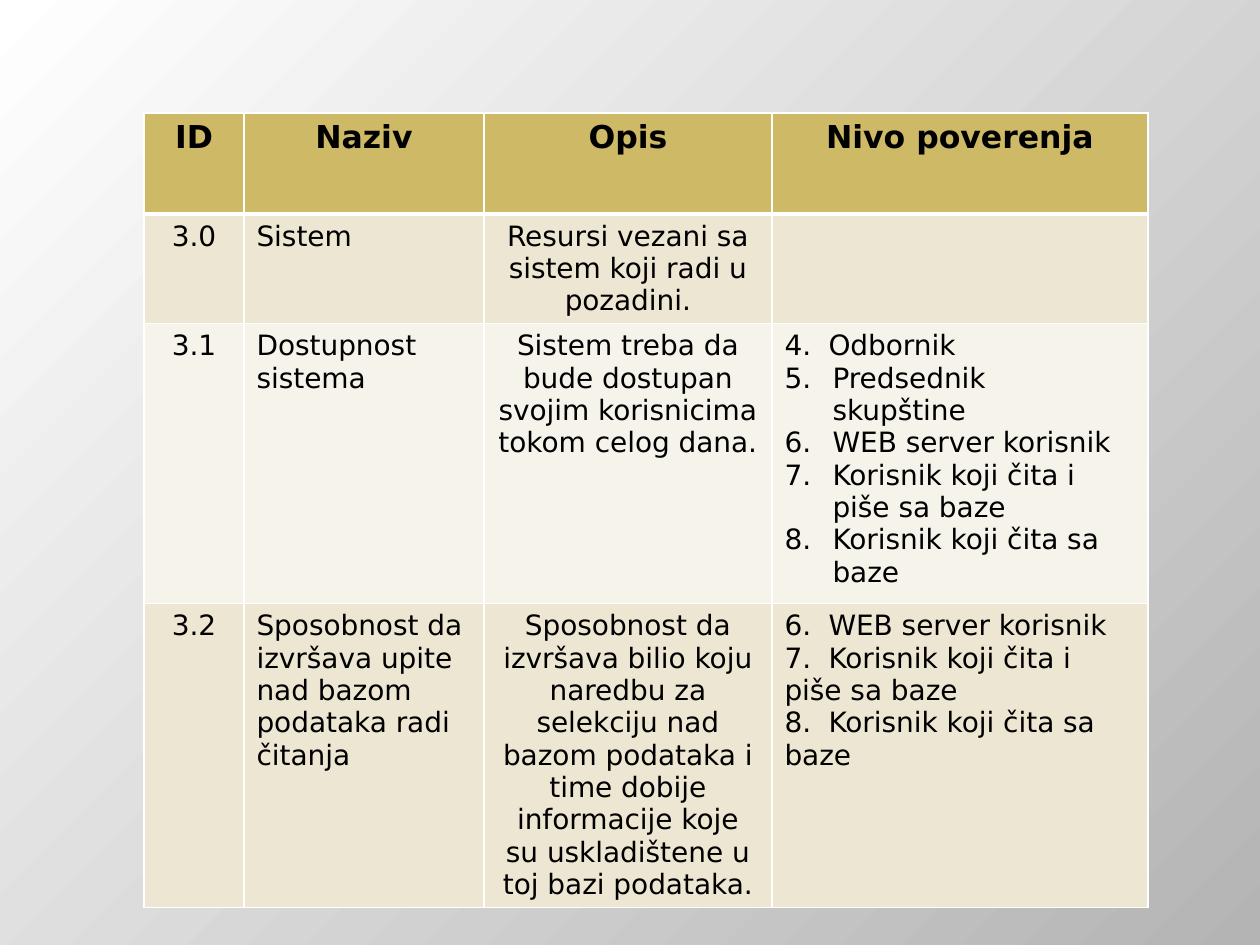
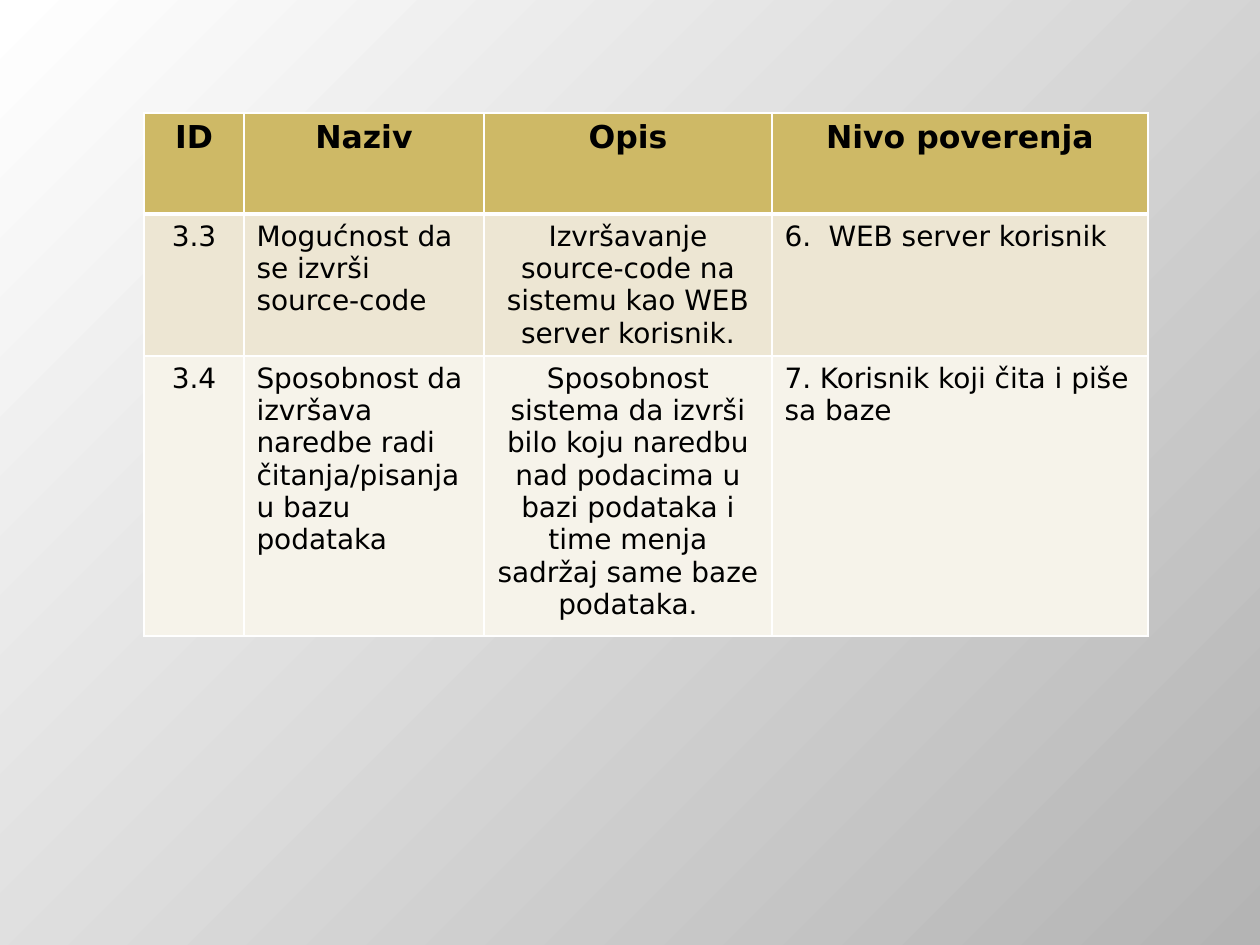
from dataclasses import dataclass

from lxml import etree
from pptx import Presentation
from pptx.dml.color import RGBColor
from pptx.enum.text import PP_ALIGN
from pptx.oxml.ns import qn
from pptx.util import Pt

CENTER, LEFT = PP_ALIGN.CENTER, PP_ALIGN.LEFT
PX = 914400 / 126  # EMU in one px


def emu(px):
    return round(px * PX)


@dataclass(frozen=True)
class Theme:
    font: str = "DejaVu Sans"
    head_size: int = 18
    body_size: int = 16
    ink: str = "000000"
    head_fill: str = "CEB966"
    bands: tuple = ("EDE6D3", "F6F3EA")
    rule: str = "FFFFFF"
    thin: int = 1
    thick: int = 3
    backdrop: tuple = ("FFFFFF", "B4B4B4")


@dataclass(frozen=True)
class Numbered:
    """A paragraph in an automatically numbered list."""
    text: str
    start: int = 5


# Shared table layout, in px
TABLE_LEFT, TABLE_TOP = 144, 113
COLUMNS = (100, 240, 288, 376)
ALIGNS = (CENTER, LEFT, CENTER, LEFT)
HEAD_HEIGHT, SHORT_ROW, TALL_ROW = 101, 78, 280
NUMBER_INDENT, TAB_STOP = 48, 44
HEADINGS = ("ID", "Naziv", "Opis", "Nivo poverenja")


class Deck:
    def __init__(self, theme):
        self.theme = theme
        self.file = Presentation()
        self.file.slide_width, self.file.slide_height = emu(1260), emu(945)
        self.page = None
        self.backdrop()

    def backdrop(self):
        """Diagonal gradient on the master, shared by every page."""
        fill = self.file.slide_master.background.fill
        fill.gradient()
        fill.gradient_angle = 315
        for stop, color, position in zip(fill.gradient_stops, self.theme.backdrop, (0, 1)):
            stop.color.rgb = RGBColor.from_string(color)
            stop.position = position

    def new_page(self):
        self.page = self.file.slides.add_slide(self.file.slide_layouts[6])

    def table(self, rows):
        heights = [HEAD_HEIGHT, SHORT_ROW] + [TALL_ROW] * (len(rows) - 1)
        frame = self.page.shapes.add_table(
            len(heights), len(COLUMNS), emu(TABLE_LEFT), emu(TABLE_TOP),
            emu(sum(COLUMNS)), emu(sum(heights)))
        table = frame.table
        for column, width in zip(table.columns, COLUMNS):
            column.width = emu(width)
        for row, height in zip(table.rows, heights):
            row.height = emu(height)

        for r, values in enumerate([HEADINGS, *rows]):
            is_head = r == 0
            color = self.theme.head_fill if is_head else self.theme.bands[(r - 1) % 2]
            for c, value in enumerate(values):
                cell = table.cell(r, c)
                self.borders(cell, r)
                cell.fill.solid()
                cell.fill.fore_color.rgb = RGBColor.from_string(color)
                self.cell_text(cell, value, CENTER if is_head else ALIGNS[c], is_head)

    def borders(self, cell, row):
        """White rules, with a thick one between heading and body."""
        theme = self.theme
        top = theme.thick if row == 1 else theme.thin
        bottom = theme.thick if row == 0 else theme.thin
        properties = cell._tc.get_or_add_tcPr()
        for side, width in zip("LRTB", (theme.thin, theme.thin, top, bottom)):
            line = etree.SubElement(properties, qn(f"a:ln{side}"), w=str(Pt(width)))
            fill = etree.SubElement(line, qn("a:solidFill"))
            etree.SubElement(fill, qn("a:srgbClr"), val=theme.rule)

    def cell_text(self, cell, value, align, is_head):
        """Fill a cell with one text or with a list of paragraphs."""
        items = [value] if isinstance(value, str) else value
        text_frame = cell.text_frame
        for i, item in enumerate(items):
            para = text_frame.paragraphs[0] if i == 0 else text_frame.add_paragraph()
            para.text = item.text if isinstance(item, Numbered) else item
            para.alignment = align
            if isinstance(item, Numbered):
                self.number(para, item.start)
            elif "\t" in item:
                self.tab_stop(para)
            for span in para.runs:
                span.font.name = self.theme.font
                span.font.size = Pt(self.theme.head_size if is_head else self.theme.body_size)
                span.font.bold = is_head
                span.font.color.rgb = RGBColor.from_string(self.theme.ink)

    def number(self, para, start):
        properties = para._p.get_or_add_pPr()
        properties.set("marL", str(emu(NUMBER_INDENT)))
        properties.set("indent", str(-emu(NUMBER_INDENT)))
        etree.SubElement(properties, qn("a:buFont"), typeface=self.theme.font)
        etree.SubElement(properties, qn("a:buAutoNum"), type="arabicPeriod", startAt=str(start))

    def tab_stop(self, para):
        tabs = etree.SubElement(para._p.get_or_add_pPr(), qn("a:tabLst"))
        etree.SubElement(tabs, qn("a:tab"), pos=str(emu(TAB_STOP)), algn="l")


# Table rows of each page
SYSTEM_ROWS = [
    ("3.0", "Sistem", "Resursi vezani sa sistem koji radi u pozadini.", ""),
    ("3.1", "Dostupnost sistema",
     "Sistem treba da bude dostupan svojim korisnicima tokom celog dana.",
     ["4.\tOdbornik",
      Numbered("Predsednik\vskupštine"),
      Numbered("WEB server korisnik"),
      Numbered("Korisnik koji čita i piše sa baze"),
      Numbered("Korisnik koji čita sa baze")]),
    ("3.2", "Sposobnost da izvršava upite nad bazom podataka radi čitanja",
     "Sposobnost da izvršava bilio koju naredbu za selekciju nad bazom podataka "
     "i time dobije informacije koje su uskladištene u toj bazi podataka.",
     ["6.\tWEB server korisnik",
      "7.\tKorisnik koji čita i piše sa baze",
      "8.\tKorisnik koji čita sa baze"]),
]
EXECUTION_ROWS = [
    ("3.3", "Mogućnost da se izvrši source-code",
     "Izvršavanje source-code na sistemu kao WEB server korisnik.",
     "6.\tWEB server korisnik"),
    ("3.4", "Sposobnost da izvršava naredbe radi čitanja/pisanja u bazu podataka",
     "Sposobnost sistema da izvrši bilo koju naredbu nad podacima u bazi podataka "
     "i time menja sadržaj same baze podataka.",
     "7. Korisnik koji čita i piše sa baze"),
]


def main():
    deck = Deck(Theme())
    for rows in (SYSTEM_ROWS, EXECUTION_ROWS):
        deck.new_page()
        deck.table(rows)
    deck.file.save("out.pptx")


if __name__ == "__main__":
    main()
